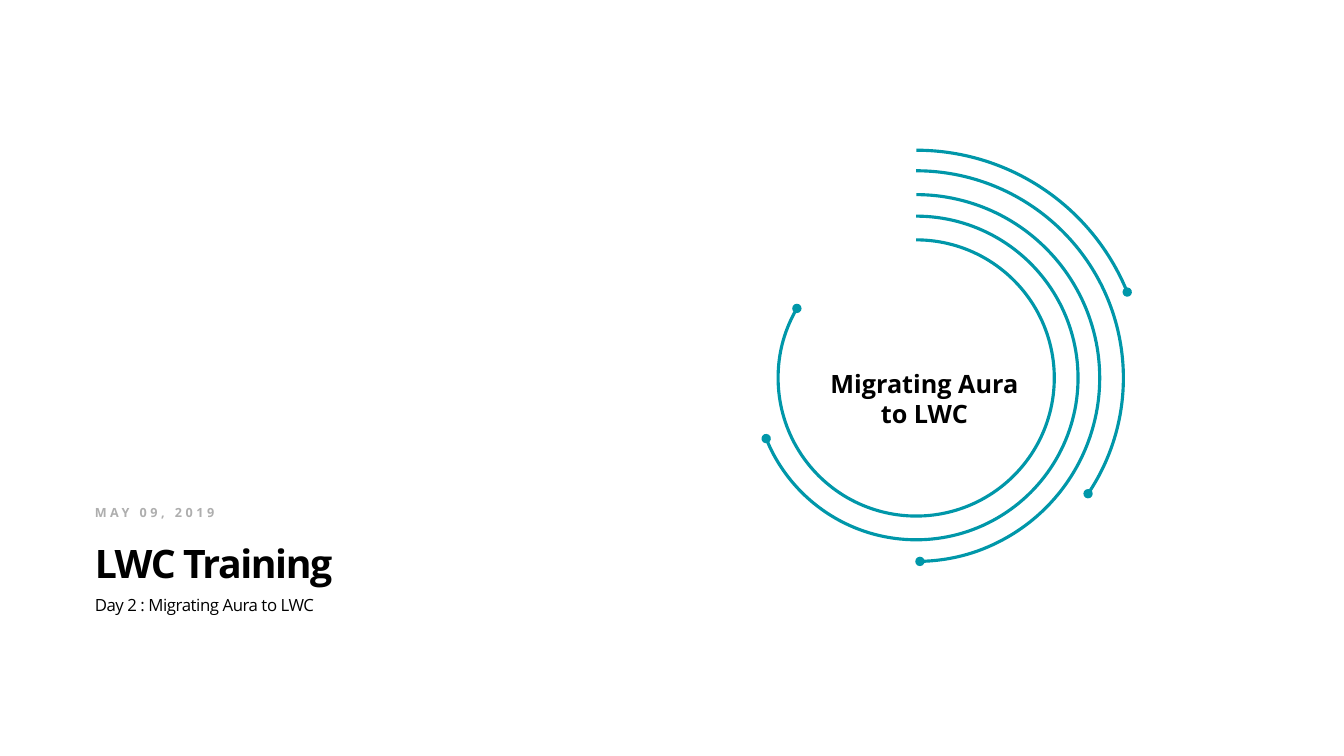
from lxml.etree import SubElement
from pptx import Presentation
from pptx.dml.color import RGBColor
from pptx.enum.shapes import MSO_SHAPE
from pptx.enum.text import MSO_ANCHOR, MSO_AUTO_SIZE, PP_ALIGN
from pptx.oxml.ns import qn
from pptx.util import Pt

# Content
TITLE = "LWC Training"
DATE = "MAY 09, 2019"
TOPIC = "Day 2 : Migrating Aura to LWC"
LABEL = ["Migrating Aura", "to LWC"]
FONT = "Open Sans"
BLACK, GREY, TEAL = "000000", "AEAEAE", "0097A9"

# Arcs run clockwise from the top: diameter, end angle in degrees
ARCS = [(325.4, 337.84), (296, 33.96), (262, 88.85), (231.2, 158), (197.3, 210.23)]
MID_X, MID_Y = 654.5, 270
TOP = 270
LEFT, WIDTH = 67.7, 347


def color(code):
    return RGBColor.from_string(code)


def write(shape, lines, size, code, bold=False, gap=0, align=PP_ALIGN.LEFT):
    frame = shape.text_frame
    frame.text = "\n".join(lines)
    for para in frame.paragraphs:
        para.alignment = align
        font = para.font
        font.name, font.size, font.bold = FONT, Pt(size), bold
        font.color.rgb = color(code)
        if gap:
            for run in para.runs:
                run.font._element.set("spc", str(round(gap * 100)))
    return frame


def inset(frame, left, top, right, bottom):
    frame.margin_left, frame.margin_top = Pt(left), Pt(top)
    frame.margin_right, frame.margin_bottom = Pt(right), Pt(bottom)


deck = Presentation()
deck.slide_width, deck.slide_height = Pt(960), Pt(540)
slide = deck.slides.add_slide(deck.slide_layouts[5])
shapes = slide.shapes

# Title
title = shapes.title
title.left, title.top, title.width, title.height = Pt(LEFT), Pt(380.2), Pt(WIDTH), Pt(38.9)
frame = write(title, [TITLE], 28, BLACK, True, -1)
frame.paragraphs[0].line_spacing = 0.85
frame.vertical_anchor = MSO_ANCHOR.BOTTOM
frame.auto_size = MSO_AUTO_SIZE.NONE
inset(frame, 0, 3.6, 7.2, 0)

# Date and topic
for text, top, high, size, code, bold, gap in [
    (DATE, 360.7, 27.4, 9, GREY, True, 2.5),
    (TOPIC, 424.8, 37.4, 12, BLACK, False, -0.3),
]:
    box = shapes.add_textbox(Pt(LEFT), Pt(top), Pt(WIDTH), Pt(high))
    frame = write(box, [text], size, code, bold, gap)
    frame.word_wrap = True
    inset(frame, 0, 0, 0, 0)

# Rings of arcs around one centre
rings = shapes.add_group_shape()
for size, end in ARCS:
    arc = rings.shapes.add_shape(
        MSO_SHAPE.ARC, Pt(MID_X - size / 2), Pt(MID_Y - size / 2), Pt(size), Pt(size))
    # One degree is 60000 file units, one adjustment step is 100000
    arc.adjustments[0], arc.adjustments[1] = TOP * 0.6, end * 0.6
    arc.shadow.inherit = False
    arc.fill.background()
    arc.line.color.rgb = color(TEAL)
    arc.line.width = Pt(2.25)
    SubElement(arc.line._get_or_add_ln(), qn("a:tailEnd"), type="oval")

# Label inside the rings
label = shapes.add_textbox(Pt(585.4), Pt(259.2), Pt(149.8), Pt(51.1))
frame = write(label, LABEL, 18, BLACK, True, align=PP_ALIGN.CENTER)
frame.word_wrap = False
frame.auto_size = MSO_AUTO_SIZE.SHAPE_TO_FIT_TEXT

deck.save("out.pptx")
